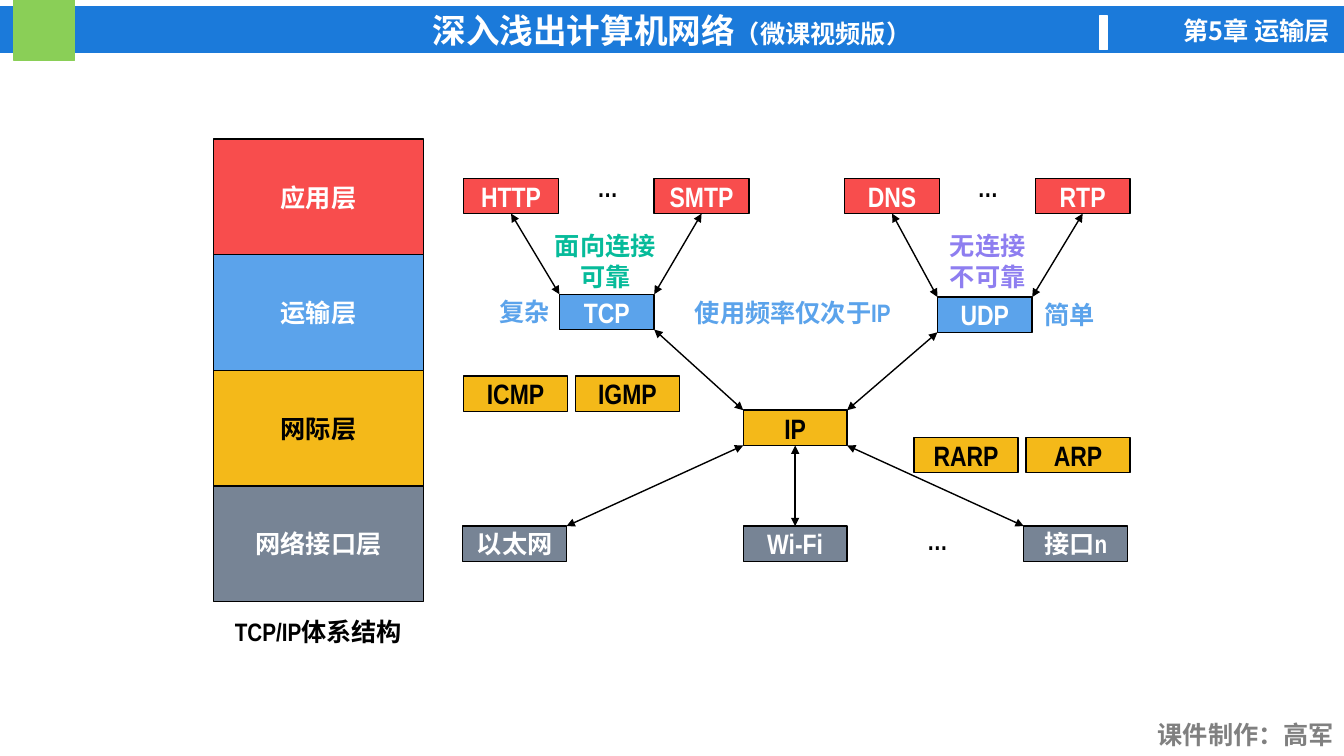
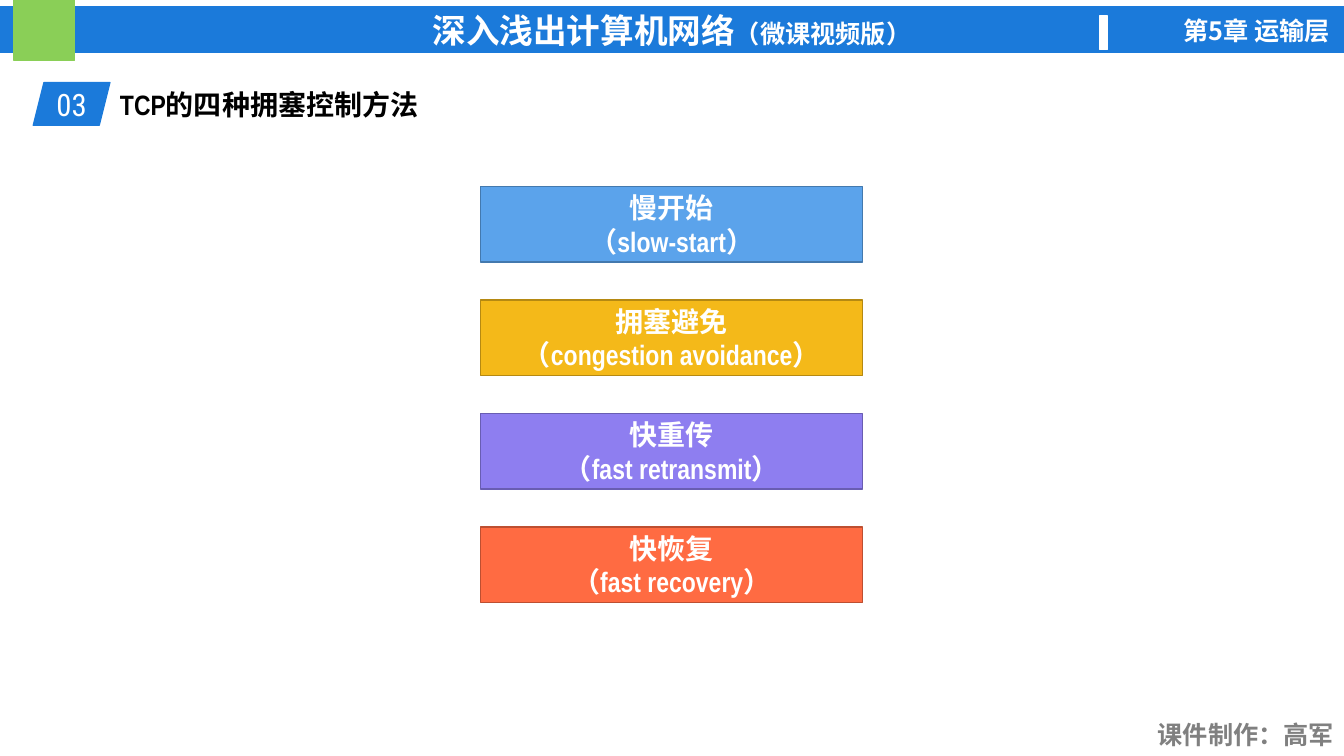
from lxml import etree
from pptx import Presentation
from pptx.dml.color import RGBColor
from pptx.enum import shapes as es, text as et
from pptx.oxml.ns import qn
from pptx.shapes.shapetree import SlideShapes
from pptx.util import Pt

BLUE = RGBColor(0x1B, 0x7A, 0xDA)
GREEN = RGBColor(0x8A, 0xCF, 0x57)
WHITE = RGBColor(0xFF, 0xFF, 0xFF)
BLACK = RGBColor(0, 0, 0)
GRAY = RGBColor(0x80, 0x80, 0x80)
RED = RGBColor(0xF8, 0x4D, 0x4D)
SKY = RGBColor(0x5B, 0xA3, 0xEB)
GOLD = RGBColor(0xF4, 0xB9, 0x19)
SLATE = RGBColor(0x77, 0x84, 0x95)
TEAL = RGBColor(0x06, 0xBB, 0x9A)
VIOLET = RGBColor(0x8E, 0x7E, 0xF0)
CORAL = RGBColor(0xFF, 0x6B, 0x42)
DEEP_SKY = RGBColor(0x43, 0x79, 0xAE)
DEEP_GOLD = RGBColor(0xB5, 0x89, 0x12)
DEEP_VIOLET = RGBColor(0x69, 0x5D, 0xB2)
DEEP_CORAL = RGBColor(0xBD, 0x4F, 0x31)

LATIN = "Arial Narrow"
HAN = "Noto Sans CJK SC"
LEFT, MID, RIGHT = et.PP_ALIGN.LEFT, et.PP_ALIGN.CENTER, et.PP_ALIGN.RIGHT
RECT = es.MSO_SHAPE.RECTANGLE
SITES = {(0.5, 0): 0, (0, 0.5): 1, (0.5, 1): 2, (1, 0.5): 3}


def write(frame, words, size=18, color=BLACK, bold=True, font=LATIN,
          align=MID, anchor=et.MSO_ANCHOR.TOP, tail=None):
    """Fill a frame, one paragraph a line; tail is (text, size) put at the end."""
    frame.word_wrap = True
    frame.auto_size = et.MSO_AUTO_SIZE.NONE
    frame.vertical_anchor = anchor
    for i, line in enumerate(words.split("\n")):
        para = frame.add_paragraph() if i else frame.paragraphs[0]
        para.alignment = align
        for part, pts in [(line, size)] + ([tail] if tail else []):
            run = para.add_run()
            run.text = part
            run.font.size, run.font.bold, run.font.name = Pt(pts), bold, font
            run.font.color.rgb = color
            etree.SubElement(run.font._element, qn("a:ea"), typeface=HAN)


class Deck:
    def __init__(self):
        self.prs = Presentation()
        self.prs.slide_width, self.prs.slide_height = Pt(960), Pt(540)
        self.base = self.prs.slide_layouts[5]
        self.shapes = SlideShapes(self.base.shapes.element, self.base)
        self.frame()

    def frame(self):
        """Draw the band and footer on the layout that all slides use."""
        self.box(0, 5, 960, 32.4, BLUE, "深入浅出计算机网络", edge=BLUE, size=24,
                 tail=("（微课视频版）", 18))
        self.box(10, 0, 43.2, 43.2, GREEN, edge=GREEN)
        self.box(785.5, 11.5, 5.8, 23.8, WHITE, edge=WHITE)
        self.label(800, 7.2, 157, "第5章 运输层", color=WHITE, font=HAN, align=RIGHT)
        self.label(816.5, 510.5, 143.5, "课件制作：高军", color=GRAY, align=RIGHT)

    def slide(self):
        self.shapes = self.prs.slides.add_slide(self.base).shapes

    def box(self, x, y, w, h, fill, words="", edge=BLACK, kind=RECT,
            color=WHITE, size=20, **style):
        shape = self.shapes.add_shape(kind, Pt(x), Pt(y), Pt(w), Pt(h))
        shape.shadow.inherit = False
        shape.fill.solid()
        shape.fill.fore_color.rgb = fill
        shape.line.color.rgb = edge
        shape.line.width = Pt(1)
        if words:
            write(shape.text_frame, words, size=size, color=color,
                  anchor=et.MSO_ANCHOR.MIDDLE, **style)
        return shape

    def label(self, x, y, w, words, h=28.8, **style):
        area = self.shapes.add_textbox(Pt(x), Pt(y), Pt(w), Pt(h))
        write(area.text_frame, words, **style)

    def title(self, x, y, w, h, words, **style):
        head = self.shapes.title
        head.left, head.top, head.width, head.height = Pt(x), Pt(y), Pt(w), Pt(h)
        write(head.text_frame, words, **style)

    def arrow(self, start, end):
        """Join two ends, each (box, part of width, part of height)."""
        spots = [int(n) for b, u, v in (start, end)
                 for n in (b.left + u * b.width, b.top + v * b.height)]
        link = self.shapes.add_connector(es.MSO_CONNECTOR.STRAIGHT, *spots)
        for join, (b, u, v) in ((link.begin_connect, start), (link.end_connect, end)):
            if (u, v) in SITES:
                join(b, SITES[u, v])
        link.line.color.rgb = BLACK
        link.line.width = Pt(1)
        line = link.line._ln
        for tip in ("a:headEnd", "a:tailEnd"):
            etree.SubElement(line, qn(tip), type="triangle")
        etree.SubElement(line.getparent(), qn("a:effectLst"))


def layers(deck):
    deck.slide()
    deck.title(152.6, 436.3, 149.8, 28.8, "TCP/IP体系结构")
    stack = (("应用层", RED, WHITE), ("运输层", SKY, WHITE),
             ("网际层", GOLD, BLACK), ("网络接口层", SLATE, WHITE))
    for i, (name, fill, ink) in enumerate(stack):
        deck.box(152.6, 99.4 + 82.6 * i, 149.8, 82.6, fill, name, color=ink, size=18)

    wide, tall = 74.2, 25.2
    apps = [deck.box(331.2 + 136.1 * i, 127.4, 67.7, tall, RED, name)
            for i, name in enumerate(("HTTP", "SMTP", "DNS", "RTP"))]
    tcp = deck.box(399.6, 210.2, 67.7, tall, SKY, "TCP")
    udp = deck.box(669.6, 212.2, 67.7, tall, SKY, "UDP")
    nets = [deck.box(330.5 + 200.4 * i, 375.8, wide, tall, SLATE, name, size=size)
            for i, (name, size) in enumerate((("以太网", 18), ("Wi-Fi", 20), ("接口n", 18)))]
    for x, y, name in ((331.2, 268.6, "ICMP"), (411.1, 268.6, "IGMP"),
                       (653, 312.5, "RARP"), (733, 312.5, "ARP")):
        deck.box(x, y, wide, tall, GOLD, name, color=BLACK)
    ip = deck.box(530.9, 293, wide, tall, GOLD, "IP", color=BLACK)

    for x, y in ((382.3, 119.5), (653.8, 119.5), (617.8, 371.5)):
        deck.label(x, y, 103.7, "…")
    deck.label(387.4, 161.3, 90, "面向连接\n可靠", h=51, color=TEAL)
    deck.label(660.2, 161.3, 90.7, "无连接\n不可靠", h=51, color=VIOLET)
    deck.label(333.4, 208.1, 66.2, "复杂", color=SKY, align=RIGHT)
    deck.label(738.7, 210.2, 66.2, "简单", color=SKY, align=LEFT)
    deck.label(482.4, 208.8, 167.8, "使用频率仅次于IP", color=SKY)

    for i, app in enumerate(apps):
        deck.arrow(((tcp, udp)[i // 2], i % 2, 0), (app, 0.5, 1))
    deck.arrow((ip, 0, 0), (tcp, 1, 1))
    deck.arrow((ip, 1, 0), (udp, 0, 1))
    for net, u, v in zip(nets, (1, 0.5, 0), (0, 0.5, 1)):
        deck.arrow((net, u, 0), (ip, v, 1))


def methods(deck):
    deck.slide()
    deck.title(78.5, 59, 432.7, 31.7, "TCP的四种拥塞控制方法", size=20, align=LEFT)
    deck.box(23.8, 59, 54.7, 30.5, BLUE, "03", edge=BLUE, size=22, bold=False,
             kind=es.MSO_SHAPE.PARALLELOGRAM, font="Roboto Condensed")
    steps = (("慢开始\n（slow-start）", SKY, DEEP_SKY),
             ("拥塞避免\n（congestion avoidance）", GOLD, DEEP_GOLD),
             ("快重传\n（fast retransmit）", VIOLET, DEEP_VIOLET),
             ("快恢复\n（fast recovery）", CORAL, DEEP_CORAL))
    for i, (name, fill, edge) in enumerate(steps):
        deck.box(343.4, 133.2 + 81.1 * i, 272.9, 54, fill, name, edge=edge)


def main():
    deck = Deck()
    layers(deck)
    methods(deck)
    deck.prs.save("out.pptx")


if __name__ == "__main__":
    main()
